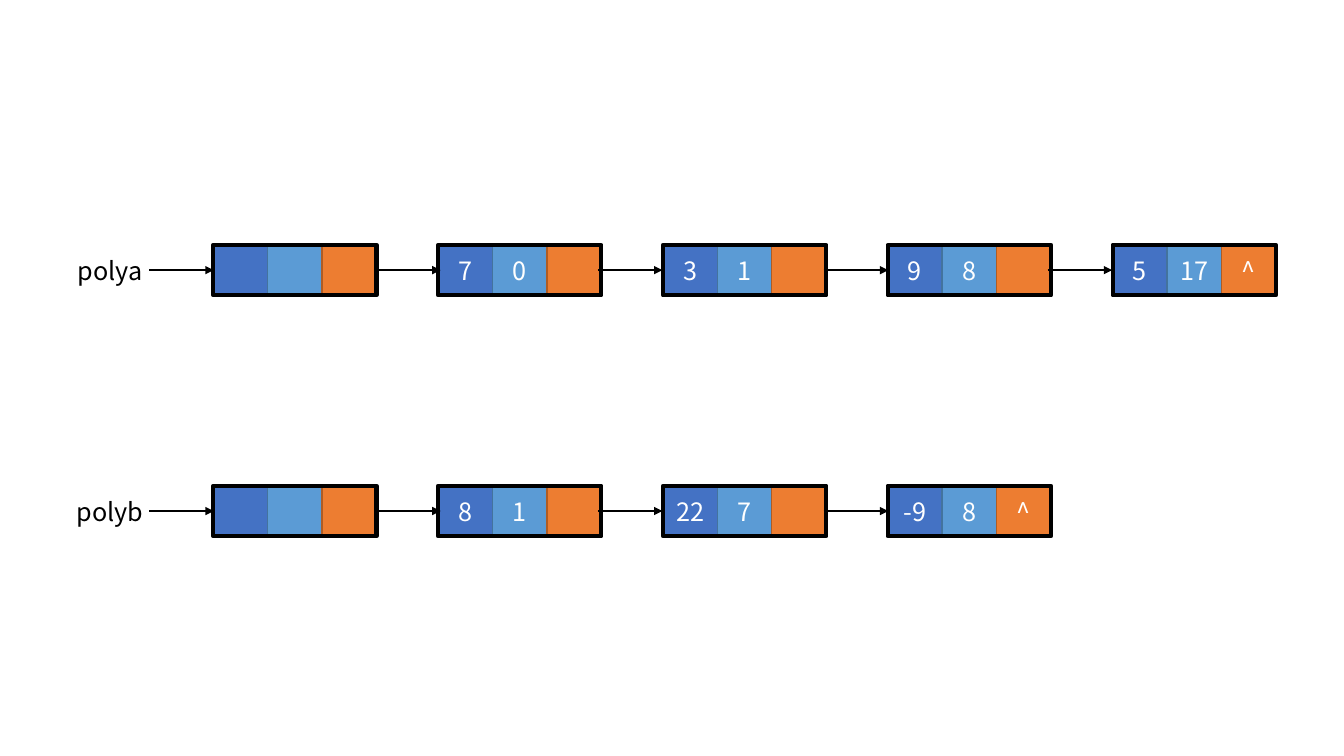
from lxml import etree
from pptx import Presentation
from pptx.dml.color import RGBColor
from pptx.enum.shapes import MSO_CONNECTOR, MSO_SHAPE
from pptx.enum.text import MSO_ANCHOR, MSO_AUTO_SIZE, PP_ALIGN
from pptx.oxml.ns import qn
from pptx.util import Inches, Pt

RECTANGLE = MSO_SHAPE.RECTANGLE
STRAIGHT = MSO_CONNECTOR.STRAIGHT
MIDDLE = MSO_ANCHOR.MIDDLE
CENTER = PP_ALIGN.CENTER
GROW = MSO_AUTO_SIZE.SHAPE_TO_FIT_TEXT

# Each node holds a coefficient, an exponent and a pointer; the first is the empty head.
LISTS = [
    {"name": "polya", "top": 2.43,
     "nodes": [("", "", ""), ("7", "0", ""), ("3", "1", ""), ("9", "8", ""), ("5", "17", "^")]},
    {"name": "polyb", "top": 4.82,
     "nodes": [("", "", ""), ("8", "1", ""), ("22", "7", ""), ("-9", "8", "^")]},
]

COLORS = {"black": "000000", "white": "FFFFFF"}
FIELDS = [
    {"fill": "4472C4", "line": "325491"},
    {"fill": "5B9BD5", "line": "43739E"},
    {"fill": "ED7D31", "line": "AF5C24"},
]
FONT = {"name": "Noto Sans CJK SC", "size": Pt(18)}

NODE_LEFT, NODE_PITCH = 2.115, 2.23
FIELD_WIDTH, NODE_HEIGHT = 0.54, 0.5
ARROW_STARTS = [1.48, 3.73, 5.93, 8.17, 10.39]
ARROW_LENGTH = 0.64
LABEL_LEFT, LABEL_WIDTH, LABEL_HEIGHT = 0.54, 1.1, 0.4


def write_text(frame, text, color):
    para = frame.paragraphs[0]
    para.alignment = CENTER
    span = para.add_run()
    span.text = text
    for attribute, value in FONT.items():
        setattr(span.font, attribute, value)
    span.font.color.rgb = RGBColor.from_string(color)


def add_box(group, left, top, width, line, weight, fill=None):
    box = group.shapes.add_shape(
        RECTANGLE, Inches(left), Inches(top), Inches(width), Inches(NODE_HEIGHT))
    box.shadow.inherit = False
    box.line.color.rgb = RGBColor.from_string(line)
    box.line.width = Pt(weight)
    if fill:
        box.fill.solid()
        box.fill.fore_color.rgb = RGBColor.from_string(fill)
    else:
        box.fill.background()
    return box


def add_node(slide, left, top, values):
    """Draw three coloured fields and a heavy frame as one group."""
    group = slide.shapes.add_group_shape()
    for column, (field, value) in enumerate(zip(FIELDS, values)):
        box = add_box(group, left + column * FIELD_WIDTH, top, FIELD_WIDTH,
                      field["line"], 1, field["fill"])
        if value:
            box.text_frame.vertical_anchor = MIDDLE
            write_text(box.text_frame, value, COLORS["white"])
    add_box(group, left, top, len(FIELDS) * FIELD_WIDTH, COLORS["black"], 3)


def add_arrow(slide, left, middle):
    arrow = slide.shapes.add_connector(
        STRAIGHT, Inches(left), Inches(middle), Inches(left + ARROW_LENGTH), Inches(middle))
    arrow.line.color.rgb = RGBColor.from_string(COLORS["black"])
    arrow.line.width = Pt(1.5)
    properties = arrow.element.spPr
    etree.SubElement(properties.find(qn("a:ln")), qn("a:tailEnd"), type="triangle")
    etree.SubElement(properties, qn("a:effectLst"))


def add_label(slide, name, middle):
    label = slide.shapes.add_textbox(
        Inches(LABEL_LEFT), Inches(middle - LABEL_HEIGHT / 2),
        Inches(LABEL_WIDTH), Inches(LABEL_HEIGHT))
    label.text_frame.word_wrap = True
    label.text_frame.auto_size = GROW
    write_text(label.text_frame, name, COLORS["black"])


def main():
    deck = Presentation()
    deck.slide_width, deck.slide_height = Inches(13.33), Inches(7.5)
    slide = deck.slides.add_slide(deck.slide_layouts[6])
    for linked_list in LISTS:
        top = linked_list["top"]
        middle = top + NODE_HEIGHT / 2
        for index, values in enumerate(linked_list["nodes"]):
            add_node(slide, NODE_LEFT + index * NODE_PITCH, top, values)
        for start, _ in zip(ARROW_STARTS, linked_list["nodes"]):
            add_arrow(slide, start, middle)
        add_label(slide, linked_list["name"], middle)
    deck.save("out.pptx")


if __name__ == "__main__":
    main()
